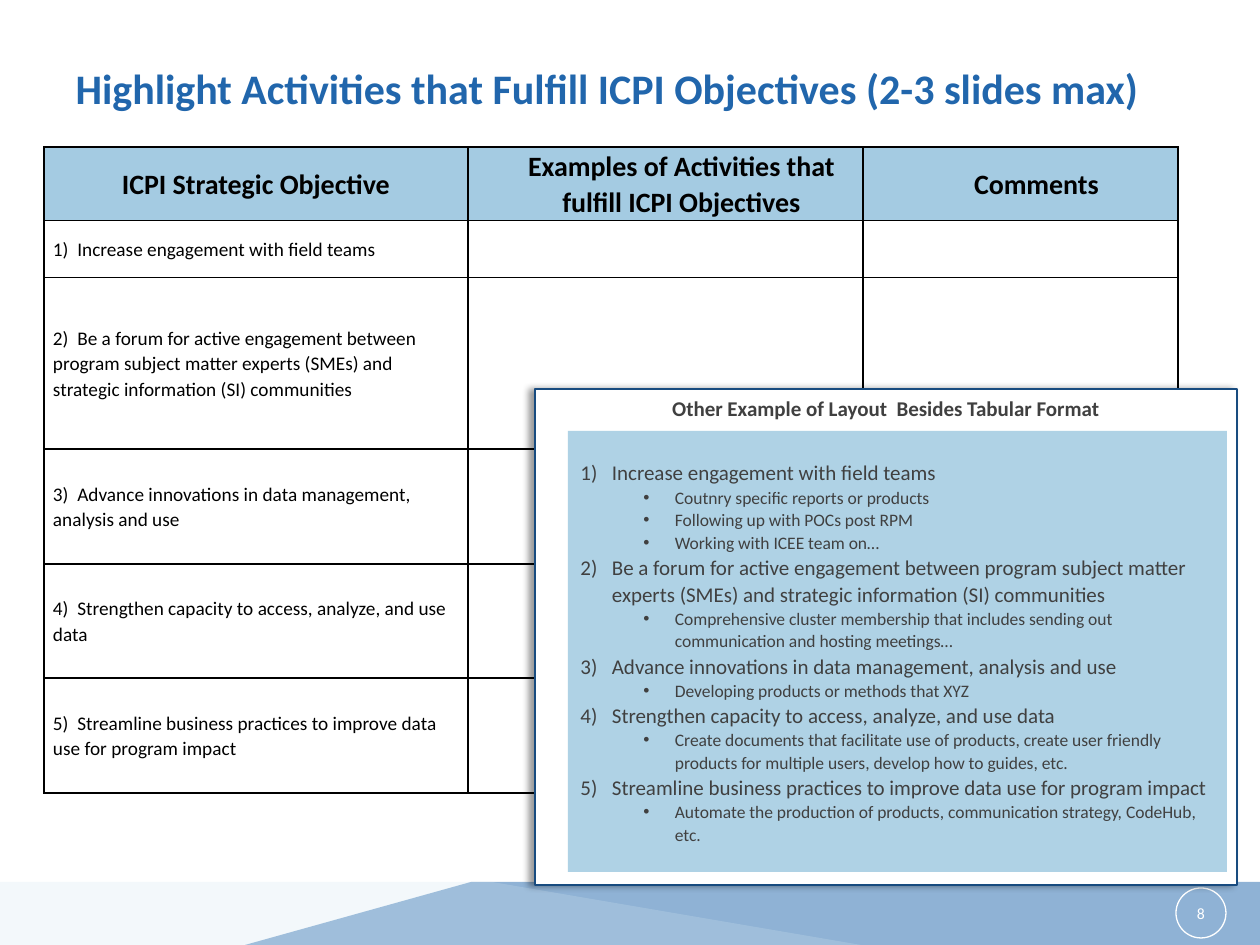
from lxml import etree
from pptx import Presentation
from pptx.dml.color import RGBColor
from pptx.enum.shapes import MSO_SHAPE as Shape
from pptx.enum.text import MSO_ANCHOR as Anchor, PP_ALIGN as Align
from pptx.oxml import parse_xml
from pptx.oxml.ns import nsdecls, qn
from pptx.util import Pt

TITLE = "Highlight Activities that Fulfill ICPI Objectives (2-3 slides max)"
HEADERS = ["ICPI Strategic Objective",
           "Examples of Activities that fulfill ICPI Objectives", "Comments"]
OBJECTIVES = [
    ("Increase engagement with field teams",
     ["Coutnry specific reports or products ", "Following up with POCs post RPM",
      "Working with ICEE team on… "]),
    ("Be a forum for active engagement between program subject matter experts (SMEs) "
     "and strategic information (SI) communities",
     ["Comprehensive cluster membership that includes sending out communication "
      "and hosting meetings…"]),
    ("Advance innovations in data management, analysis and use\u00a0",
     ["Developing products or methods that XYZ"]),
    ("Strengthen capacity to access, analyze, and use data ",
     ["Create documents that facilitate use of products, create user friendly products "
      "for multiple users, develop how to guides, etc. "]),
    ("Streamline business practices to improve data use for program impact",
     ["Automate the production of products, communication strategy, CodeHub, etc."]),
]
EXAMPLE_TITLE = "Other Example of Layout  Besides Tabular Format"
COLUMNS = [424, 395, 315]
ROWS = [73, 57, 172, 115, 114, 115]
BANDS = [
    ([(245, 945), (471, 882), (1260, 882), (1260, 945)], "2166AC", 50),
    ([(0, 945), (0, 882), (492, 882), (861, 945)], "D1E5F0", 25),
]
SCALE = 914400 / 126


def px(value):
    return round(value * SCALE)


def color(code):
    return RGBColor.from_string(code)


def place(box, left, top, width, height):
    box.left, box.top, box.width, box.height = map(px, (left, top, width, height))


def write(frame, text, size=12, ink="404040", bold=False, align=Align.LEFT,
          spacing=None, left=0, hanging=0, bullet=None, more=False):
    para = frame.add_paragraph() if more else frame.paragraphs[0]
    para.alignment = align
    if spacing:
        para.line_spacing = spacing
    props = para._p.get_or_add_pPr()
    props.set("marL", str(px(left)))
    props.set("indent", str(-px(hanging)))
    if bullet:
        etree.SubElement(props, qn("a:buFont"), typeface="Calibri" if bullet != "•" else "Arial")
        if bullet == "•":
            etree.SubElement(props, qn("a:buChar"), char=bullet)
        else:
            etree.SubElement(props, qn("a:buAutoNum"), type="arabicParenR", startAt=bullet)
    span = para.add_run()
    span.text = text
    span.font.name, span.font.size, span.font.bold = "Calibri", Pt(size), bold
    span.font.color.rgb = color(ink)
    return para


def style(shape, fill=None, line=None, weight=1, alpha=None):
    shape.shadow.inherit = False
    if fill:
        shape.fill.solid()
        shape.fill.fore_color.rgb = color(fill)
    else:
        shape.fill.background()
    if alpha:
        tint = shape._element.spPr.find(".//" + qn("a:srgbClr"))
        etree.SubElement(tint, qn("a:alpha"), val=str(alpha * 1000))
    if line:
        shape.line.color.rgb = color(line)
        shape.line.width = Pt(weight)
    else:
        shape.line.fill.background()


def add_box(shapes, kind, bounds, anchor, **look):
    box = shapes.add_shape(kind, *map(px, bounds))
    style(box, **look)
    box.text_frame.word_wrap = True
    box.text_frame.vertical_anchor = anchor
    return box


def add_borders(cell):
    props = cell._tc.get_or_add_tcPr()
    for index, side in enumerate("LRTB"):
        props.insert(index, parse_xml(
            f'<a:ln{side} {nsdecls("a")} w="12700"><a:solidFill>'
            f'<a:srgbClr val="000000"/></a:solidFill></a:ln{side}>'))


def add_objectives_table(page):
    table = page.shapes.add_table(
        len(ROWS), len(COLUMNS), px(44), px(147), px(sum(COLUMNS)), px(sum(ROWS))).table
    table.first_row = table.horz_banding = False
    for column, width in zip(table.columns, COLUMNS):
        column.width = px(width)
    for row, height in zip(table.rows, ROWS):
        row.height = px(height)
        for cell in row.cells:
            cell.fill.background()
            cell.vertical_anchor = Anchor.MIDDLE
            cell.margin_left = cell.margin_right = px(9)
            cell.margin_top = cell.margin_bottom = 0
            add_borders(cell)
    for index, header in enumerate(HEADERS):
        cell = table.cell(0, index)
        cell.fill.solid()
        cell.fill.fore_color.rgb = color("A4CBE2")
        write(cell.text_frame, header, size=16, ink="000000", bold=True,
              align=Align.CENTER, spacing=1.07, left=32 if index else 0)
    for number, (objective, _) in enumerate(OBJECTIVES, 1):
        write(table.cell(number, 0).text_frame, f"{number})  {objective}",
              size=11, ink="000000", spacing=1.07)


def add_example(page):
    shapes = page.shapes.add_group_shape().shapes
    card = add_box(shapes, Shape.RECTANGLE, (535, 389, 702, 496), Anchor.TOP,
                   fill="FFFFFF", line="184B7F")
    write(card.text_frame, EXAMPLE_TITLE, bold=True, align=Align.CENTER)
    effects = card._element.spPr.find(qn("a:effectLst"))
    effects.append(parse_xml(
        f'<a:outerShdw {nsdecls("a")} blurRad="50800" dist="38100" dir="10800000" '
        'algn="r" rotWithShape="0"><a:srgbClr val="000000"><a:alpha val="40000"/>'
        '</a:srgbClr></a:outerShdw>'))
    panel = add_box(shapes, Shape.RECTANGLE, (568, 431, 659, 441), Anchor.MIDDLE, fill="AFD2E5")
    frame = panel.text_frame
    for number, (objective, activities) in enumerate(OBJECTIVES, 1):
        write(frame, objective, spacing=1.07, left=31.5, hanging=31.5,
              bullet=str(number), more=number > 1)
        for activity in activities:
            para = write(frame, activity, size=10, spacing=1.07, left=94.5, hanging=31.5,
                         bullet="•", more=True)
            para.level = 1


deck = Presentation()
deck.slide_width, deck.slide_height = px(1260), px(945)
page = deck.slides.add_slide(deck.slide_layouts[5])

for points, fill, alpha in BANDS:
    builder = page.shapes.build_freeform(*points[0], scale=SCALE)
    builder.add_line_segments(points[1:], close=True)
    style(builder.convert_to_shape(), fill=fill, alpha=alpha)

title = page.shapes.title
place(title, 63, 50, 1134, 76)
title.text_frame.vertical_anchor = Anchor.MIDDLE
write(title.text_frame, TITLE, size=24, ink="2166AC", bold=True)

badge = add_box(page.shapes, Shape.OVAL, (1176, 888, 50, 50), Anchor.MIDDLE,
                line="FFFFFF", weight=0.75)
frame = badge.text_frame
frame.margin_left = frame.margin_right = frame.margin_top = frame.margin_bottom = 0
write(frame, "8", size=9, ink="FFFFFF", align=Align.CENTER)

add_objectives_table(page)
add_example(page)
deck.save("out.pptx")
